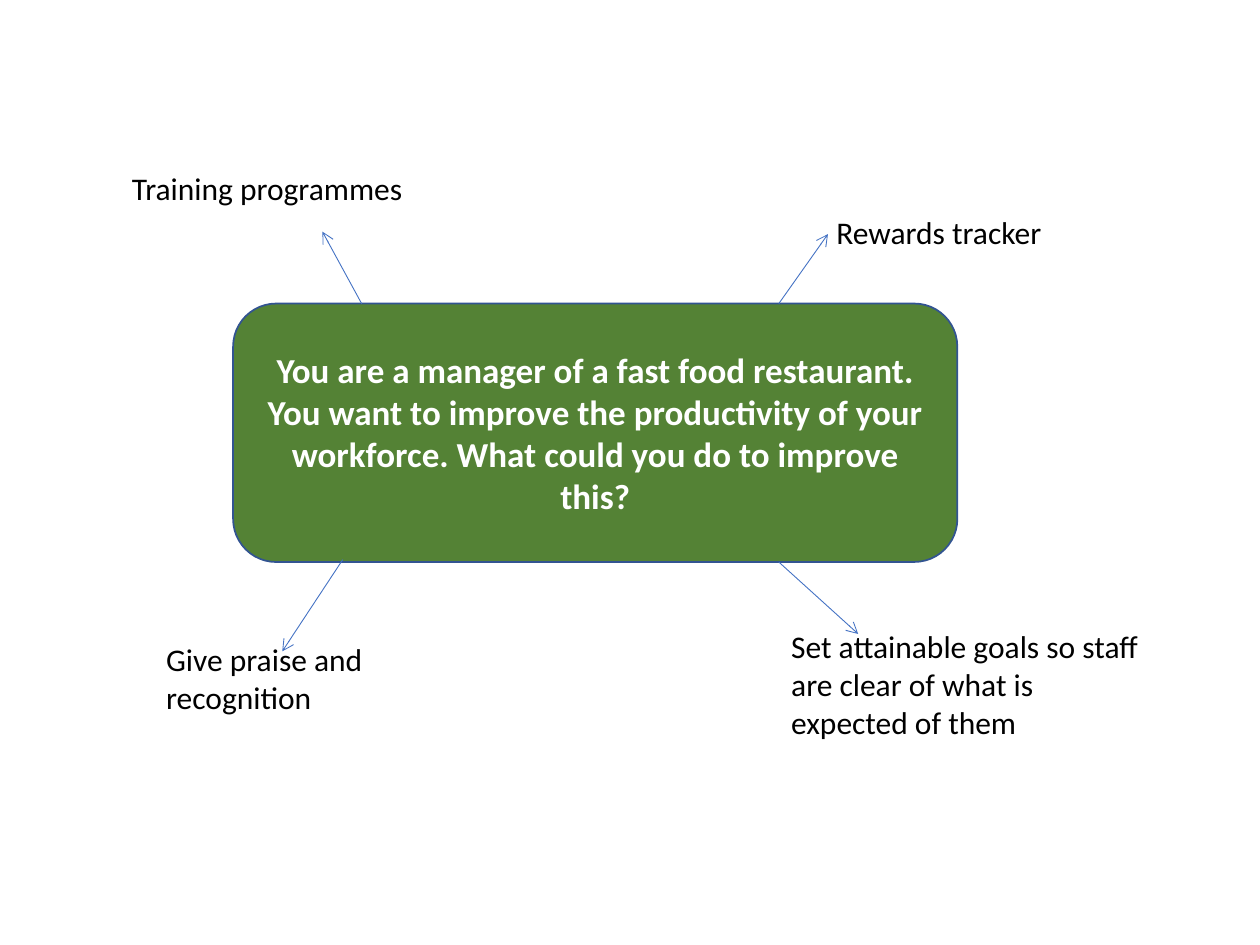
"""Build a mind map of ways to improve workforce productivity."""
import lxml.etree
import pptx
import pptx.dml.color
import pptx.enum.shapes
import pptx.enum.text
import pptx.oxml.ns
import pptx.util

Cm = pptx.util.Cm
Pt = pptx.util.Pt
COLORS = {"question": "548235", "outline": "325491", "arrow": "4472C4",
          "light": "FFFFFF", "dark": "000000"}


def rgb(name):
    return pptx.dml.color.RGBColor.from_string(COLORS[name])


def write(shape, wording, size, color, bold=False):
    shape.text_frame.word_wrap = True
    paragraph = shape.text_frame.paragraphs[0]
    paragraph.text = wording
    paragraph.font.name = "Calibri"
    paragraph.font.size = Pt(size)
    paragraph.font.bold = bold
    paragraph.font.color.rgb = rgb(color)
    return paragraph


deck = pptx.Presentation()
deck.slide_width, deck.slide_height = Cm(25.4), Cm(19.05)
slide = deck.slides.add_slide(deck.slide_layouts[6])

question = slide.shapes.add_shape(
    pptx.enum.shapes.MSO_SHAPE.ROUNDED_RECTANGLE,
    Cm(4.7), Cm(6.12), Cm(14.6), Cm(5.21))
question.shadow.inherit = False
question.fill.solid()
question.fill.fore_color.rgb = rgb("question")
question.line.color.rgb = rgb("outline")
question.line.width = Pt(1)
question.text_frame.vertical_anchor = pptx.enum.text.MSO_ANCHOR.MIDDLE
prompt = write(
    question,
    "You are a manager of a fast food restaurant. You want to improve the "
    "productivity of your workforce. What could you do to improve this?",
    20, "light", bold=True)
prompt.alignment = pptx.enum.text.PP_ALIGN.CENTER

ideas = [
    ("Rewards tracker", (16.61, 4.17, 5.41, 1.02), (15.7, 6.12, 16.69, 4.72)),
    ("Training programmes", (2.41, 3.28, 8.18, 1.02), (7.29, 6.12, 6.5, 4.67)),
    ("Set attainable goals so staff are clear of what is expected of them",
     (15.7, 12.52, 7.59, 2.57), (15.7, 11.33, 17.3, 12.78)),
    ("Give praise and recognition", (3.1, 12.78, 5.21, 1.8),
     (6.91, 11.28, 5.69, 13.13)),
]
for wording, place, route in ideas:
    arrow = slide.shapes.add_connector(
        pptx.enum.shapes.MSO_CONNECTOR.STRAIGHT, *map(Cm, route))
    arrow.line.color.rgb = rgb("arrow")
    arrow.line.width = Pt(0.5)
    lxml.etree.SubElement(arrow.line._get_or_add_ln(),
                          pptx.oxml.ns.qn("a:tailEnd"), type="arrow")
    lxml.etree.SubElement(arrow._element.spPr, pptx.oxml.ns.qn("a:effectLst"))

    idea = slide.shapes.add_textbox(*map(Cm, place))
    write(idea, wording, 18, "dark")
    idea.text_frame.auto_size = pptx.enum.text.MSO_AUTO_SIZE.SHAPE_TO_FIT_TEXT

deck.save("out.pptx")
